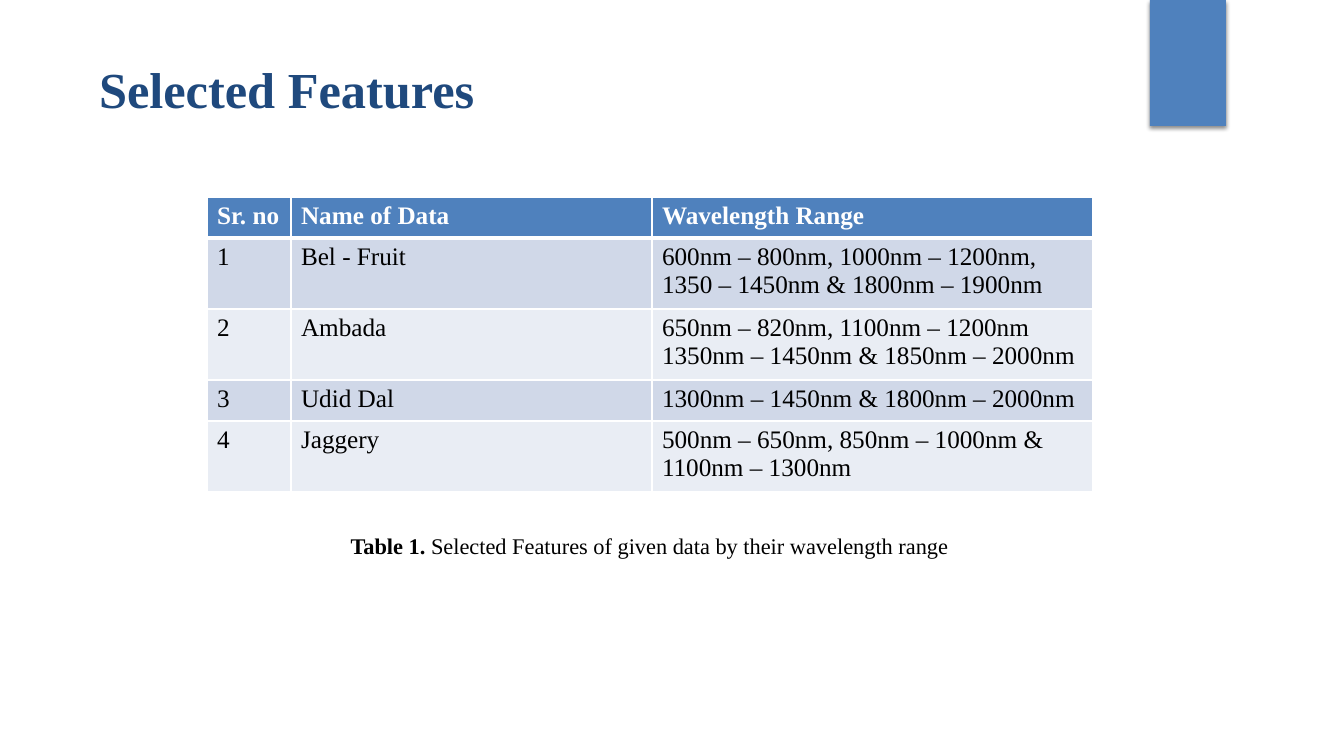
from lxml.etree import SubElement
from pptx import Presentation
from pptx.dml.color import RGBColor
from pptx.enum.shapes import MSO_SHAPE as Shape
from pptx.enum.text import MSO_ANCHOR as Anchor, MSO_AUTO_SIZE as AutoSize, PP_ALIGN as Align
from pptx.oxml.ns import qn
from pptx.util import Emu, Pt

EMU_PER_PX = 914400 / 100.8
FONT = "Times New Roman"
BLUE = RGBColor(0x4F, 0x81, 0xBD)
NAVY = RGBColor(0x1F, 0x49, 0x7D)
BAND_DARK = RGBColor(0xD0, 0xD8, 0xE8)
BAND_LIGHT = RGBColor(0xE9, 0xED, 0xF4)
WHITE = RGBColor(0xFF, 0xFF, 0xFF)
BLACK = RGBColor(0, 0, 0)

COLUMN_WIDTHS = [84, 361, 441]
ROW_HEIGHTS = [41, 71, 71, 41, 70]
FEATURES = [
    ("Sr. no", "Name of Data", "Wavelength Range"),
    ("1", "Bel - Fruit", "600nm – 800nm, 1000nm – 1200nm, 1350 – 1450nm & 1800nm – 1900nm"),
    ("2", "Ambada", "650nm – 820nm, 1100nm – 1200nm 1350nm – 1450nm & 1850nm – 2000nm"),
    ("3", "Udid Dal", "1300nm – 1450nm & 1800nm – 2000nm"),
    ("4", "Jaggery", "500nm – 650nm, 850nm – 1000nm & 1100nm – 1300nm"),
]


def px(length):
    return Emu(round(length * EMU_PER_PX))


def place(*lengths):
    return [px(length) for length in lengths]


def style(span, size, color, bold=False):
    font = span.font
    font.name = FONT
    font.size = Pt(size)
    font.bold = bold
    font.color.rgb = color


def add_ribbon(page):
    ribbon = page.shapes.add_shape(Shape.RECTANGLE, *place(1150, 0, 76, 126))
    ribbon.fill.solid()
    ribbon.fill.fore_color.rgb = BLUE
    ribbon.line.fill.background()
    ribbon.shadow.inherit = False
    effects = ribbon._element.spPr.find(qn("a:effectLst"))
    shadow = SubElement(effects, qn("a:outerShdw"), blurRad=str(Pt(3)), dist=str(Pt(2)),
                        dir="5400000", rotWithShape="0")
    shade = SubElement(shadow, qn("a:srgbClr"), val=str(BLACK))
    SubElement(shade, qn("a:alpha"), val="45000")


def set_title(page, text):
    title = page.shapes.title
    title.left, title.top, title.width, title.height = place(89, 53, 400, 72)
    frame = title.text_frame
    frame.text = text
    frame.word_wrap = False
    frame.auto_size = AutoSize.SHAPE_TO_FIT_TEXT
    frame.vertical_anchor = Anchor.TOP
    para = frame.paragraphs[0]
    para.alignment = Align.LEFT
    style(para.runs[0], 36, NAVY, True)


def set_borders(cell, widths):
    properties = cell._tc.get_or_add_tcPr()
    for position, (side, width) in enumerate(widths.items()):
        border = properties.makeelement(qn(f"a:ln{side}"), {"w": str(Pt(width))})
        fill = SubElement(border, qn("a:solidFill"))
        SubElement(fill, qn("a:srgbClr"), val=str(WHITE))
        properties.insert(position, border)


def add_features(page):
    box = place(207, 197, sum(COLUMN_WIDTHS), sum(ROW_HEIGHTS))
    table = page.shapes.add_table(len(FEATURES), len(COLUMN_WIDTHS), *box).table
    for column, width in zip(table.columns, COLUMN_WIDTHS):
        column.width = px(width)
    for row, height in zip(table.rows, ROW_HEIGHTS):
        row.height = px(height)
    for index, texts in enumerate(FEATURES):
        header = index == 0
        band = BLUE if header else BAND_DARK if index % 2 else BAND_LIGHT
        for column, text in enumerate(texts):
            cell = table.cell(index, column)
            cell.text = text
            cell.fill.solid()
            cell.fill.fore_color.rgb = band
            style(cell.text_frame.paragraphs[0].runs[0], 18, WHITE if header else BLACK, header)
            set_borders(cell, {"L": 1, "R": 1, "T": 3 if index == 1 else 1, "B": 3 if header else 1})


def add_caption(page, label, text):
    frame = page.shapes.add_textbox(*place(336, 527, 627, 37)).text_frame
    frame.word_wrap = False
    frame.auto_size = AutoSize.SHAPE_TO_FIT_TEXT
    para = frame.paragraphs[0]
    para.alignment = Align.CENTER
    for words, bold in ((label, True), (text, False)):
        span = para.add_run()
        span.text = words
        style(span, 16, BLACK, bold)


def main():
    deck = Presentation()
    deck.slide_width, deck.slide_height = place(1344, 756)
    page = deck.slides.add_slide(deck.slide_layouts[5])
    add_ribbon(page)
    set_title(page, "Selected Features")
    add_features(page)
    add_caption(page, "Table 1. ", "Selected Features of given data by their wavelength range")
    deck.save("out.pptx")


if __name__ == "__main__":
    main()
